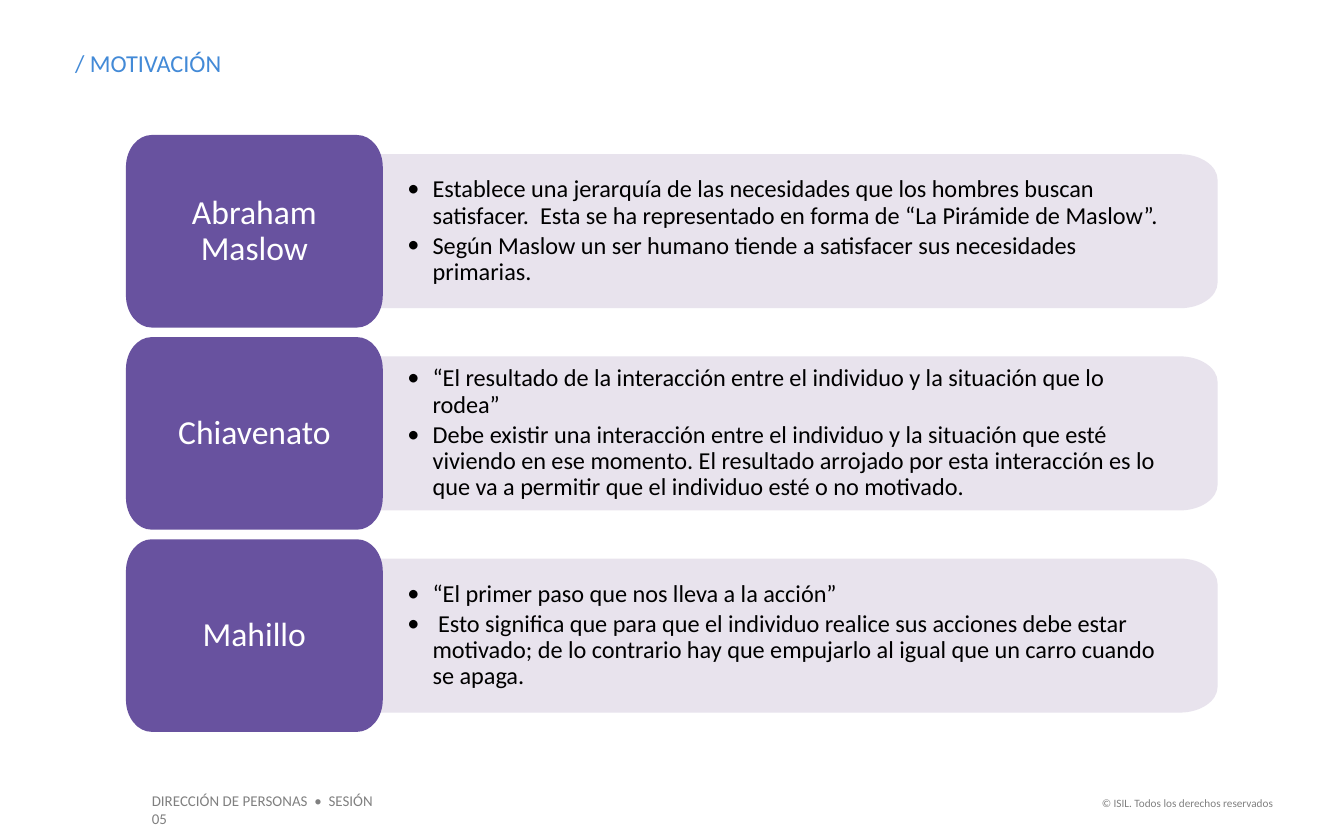
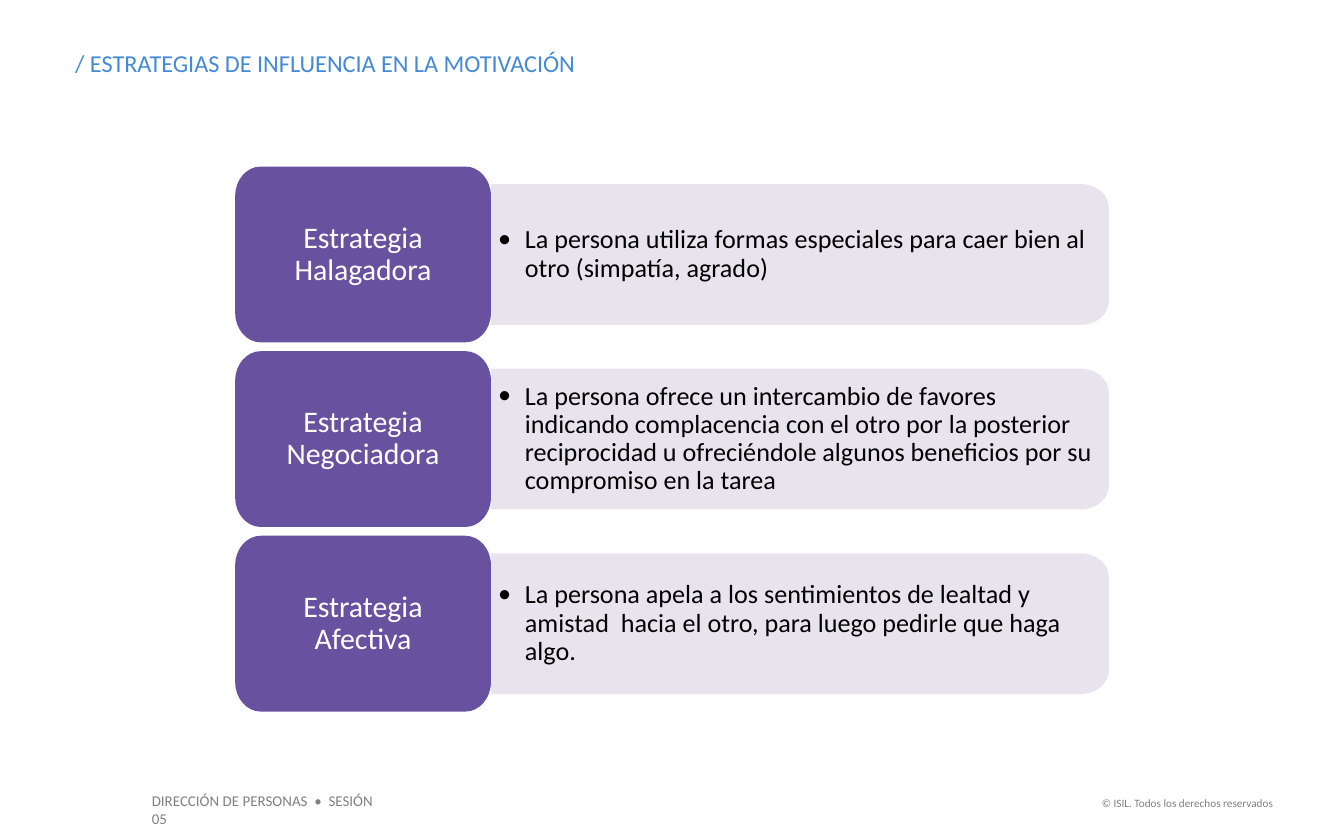
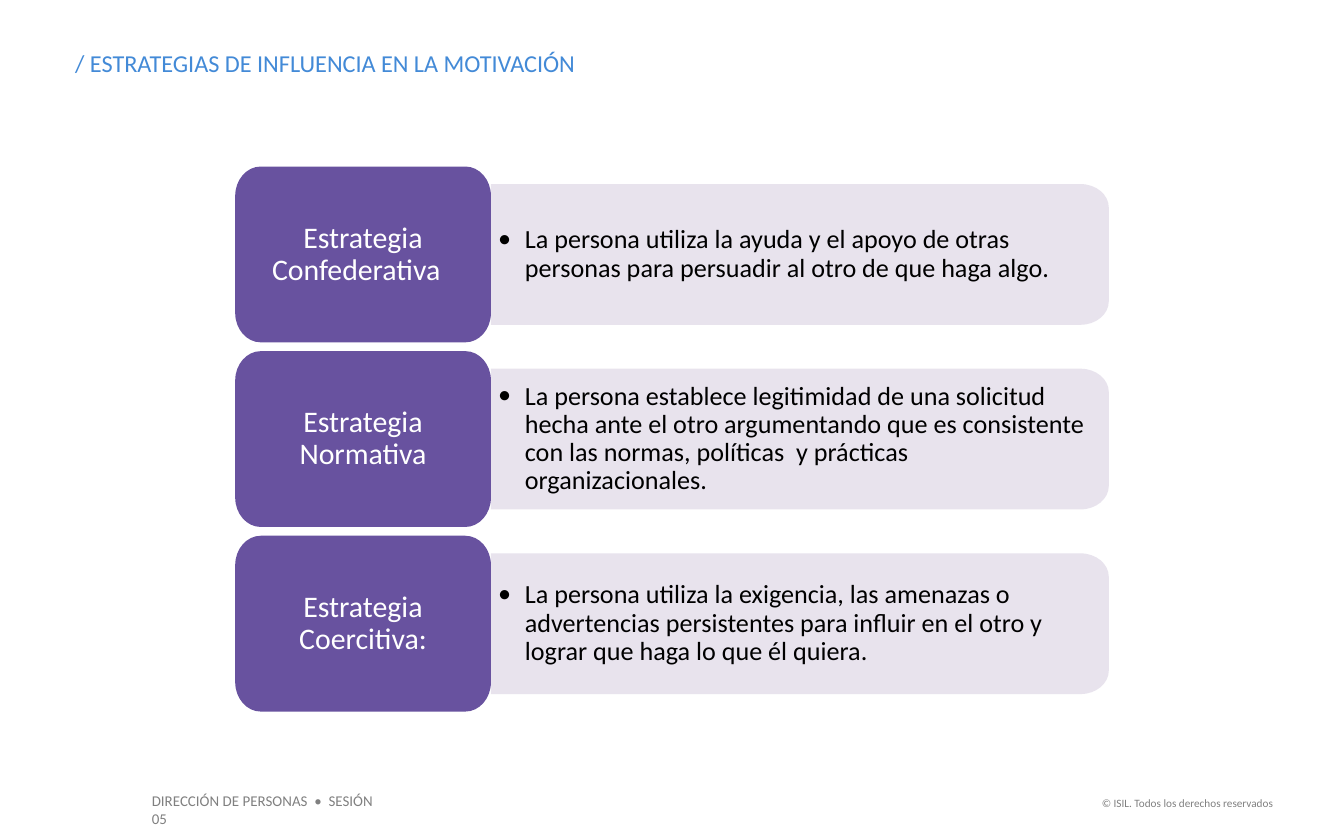
from dataclasses import dataclass

import lxml.etree
import pptx
import pptx.dml.color
import pptx.enum.text
import pptx.oxml.ns
import pptx.util

Pt = pptx.util.Pt
ALIGN = pptx.enum.text.PP_ALIGN
ANCHOR = pptx.enum.text.MSO_ANCHOR
qn = pptx.oxml.ns.qn


@dataclass(frozen=True)
class Theme:
    font: str = "Calibri"
    heading: str = "438AD7"
    footer: str = "808080"
    name_fill: str = "68529F"
    name_text: str = "FFFFFF"
    detail_fill: str = "E6E0EC"
    detail_text: str = "000000"
    detail_opacity: int = 90
    heading_size: float = 13
    session_size: float = 8
    rights_size: float = 6
    author_size: float = 18
    author_detail_size: float = 13
    strategy_size: float = 16
    strategy_detail_size: float = 14


@dataclass(frozen=True)
class Box:
    left: float
    top: float
    width: float
    height: float


@dataclass(frozen=True)
class Style:
    size: float
    color: str
    insets: tuple[float, float, float, float]
    align: ALIGN = ALIGN.LEFT
    anchor: ANCHOR = ANCHOR.TOP
    line_spacing: float = 1.0
    space_after: float = 0
    bullet_indent: float = 0


@dataclass(frozen=True)
class Caption:
    box: Box
    style: Style


@dataclass(frozen=True)
class Layout:
    name_left: float
    name_top: float
    name_width: float
    name_height: float
    detail_left: float
    detail_right: float
    detail_corner: float
    name_style: Style
    detail_style: Style


@dataclass(frozen=True)
class Concept:
    name: str
    details: tuple[str, ...]


@dataclass(frozen=True)
class Topic:
    heading: str
    layout: Layout
    concepts: tuple[Concept, ...]


THEME = Theme()
CURVE = 0.55
CAPTION_INSETS = (7.2, 3.6, 7.2, 3.6)
HEADING = Caption(Box(40.3, 26, 332, 16), Style(THEME.heading_size, THEME.heading, (0, 0, 0, 0)))
SESSION = Caption(Box(74.2, 420.5, 142, 17), Style(THEME.session_size, THEME.footer, CAPTION_INSETS))
RIGHTS = Caption(
    Box(579.4, 423, 109.6, 14.4),
    Style(THEME.rights_size, THEME.footer, CAPTION_INSETS, ALIGN.RIGHT),
)


def name_style(size: float, insets: tuple[float, float, float, float]) -> Style:
    return Style(size, THEME.name_text, insets, ALIGN.CENTER, ANCHOR.MIDDLE, 0.9)


def detail_style(size: float, insets: tuple[float, float, float, float], indent: float) -> Style:
    return Style(size, THEME.detail_text, insets, ALIGN.LEFT, ANCHOR.MIDDLE, 0.9, 2, indent)


AUTHORS = Layout(
    67.5, 72.3, 137.6, 103.15, 198.7, 652.3, 20.2,
    name_style(THEME.author_size, (10, 8, 10, 8)),
    detail_style(THEME.author_detail_size, (19.6, 13.7, 23.8, 13.7), 13.5),
)
STRATEGIES = Layout(
    126, 89.2, 137, 94.2, 263, 594, 15.1,
    name_style(THEME.strategy_size, (9.4, 7.2, 9.4, 7.2)),
    detail_style(THEME.strategy_detail_size, (3.8, 5.8, 7.5, 5.8), 14.4),
)

SESSION_TEXT = "DIRECCIÓN DE PERSONAS  •  SESIÓN 05"
RIGHTS_TEXT = "© ISIL. Todos los derechos reservados"
STRATEGIES_HEADING = "/ ESTRATEGIAS DE INFLUENCIA EN LA MOTIVACIÓN"

TOPICS = (
    Topic("/ MOTIVACIÓN", AUTHORS, (
        Concept("Abraham\nMaslow", (
            "Establece una jerarquía de las necesidades que los hombres buscan satisfacer.  "
            "Esta se ha representado en forma de “La Pirámide de Maslow”.",
            "Según Maslow un ser humano tiende a satisfacer sus necesidades primarias.",
        )),
        Concept("Chiavenato", (
            "“El resultado de la interacción entre el individuo y la situación que lo rodea”",
            "Debe existir una interacción entre el individuo y la situación que esté viviendo "
            "en ese momento. El resultado arrojado por esta interacción es lo que va a permitir "
            "que el individuo esté o no motivado.",
        )),
        Concept("Mahillo", (
            "“El primer paso que nos lleva a la acción”",
            " Esto significa que para que el individuo realice sus acciones debe estar motivado; "
            "de lo contrario hay que empujarlo al igual que un carro cuando se apaga.",
        )),
    )),
    Topic(STRATEGIES_HEADING, STRATEGIES, (
        Concept("Estrategia Halagadora", (
            "La persona utiliza formas especiales para caer bien al otro (simpatía, agrado)",
        )),
        Concept("Estrategia Negociadora", (
            "La persona ofrece un intercambio de favores indicando complacencia con el otro "
            "por la posterior reciprocidad u ofreciéndole algunos beneficios por su compromiso "
            "en la tarea",
        )),
        Concept("Estrategia Afectiva", (
            "La persona apela a los sentimientos de lealtad y amistad  hacia el otro, "
            "para luego pedirle que haga algo.",
        )),
    )),
    Topic(STRATEGIES_HEADING, STRATEGIES, (
        Concept("Estrategia Confederativa  ", (
            "La persona utiliza la ayuda y el apoyo de otras personas para persuadir al otro "
            "de que haga algo.",
        )),
        Concept("Estrategia Normativa", (
            "La persona establece legitimidad de una solicitud hecha ante el otro argumentando "
            "que es consistente con las normas, políticas  y prácticas organizacionales.",
        )),
        Concept("Estrategia Coercitiva:", (
            "La persona utiliza la exigencia, las amenazas o advertencias persistentes para "
            "influir en el otro y lograr que haga lo que él quiera.",
        )),
    )),
)


def apply(target, formats: dict) -> None:
    for attribute, value in formats.items():
        setattr(target, attribute, value)


def add_bullet(paragraph, indent: float) -> None:
    paragraph.level = 1
    properties = paragraph._p.get_or_add_pPr()
    properties.set("marL", str(Pt(indent)))
    properties.set("indent", str(-Pt(indent)))
    lxml.etree.SubElement(properties, qn("a:buFont"), typeface=THEME.font)
    lxml.etree.SubElement(properties, qn("a:buChar"), char="•")


def write(frame, texts: tuple[str, ...], style: Style) -> None:
    left, top, right, bottom = style.insets
    apply(frame, {
        "word_wrap": True,
        "vertical_anchor": style.anchor,
        "margin_left": Pt(left),
        "margin_top": Pt(top),
        "margin_right": Pt(right),
        "margin_bottom": Pt(bottom),
    })
    for index, text in enumerate(texts):
        paragraph = frame.add_paragraph() if index else frame.paragraphs[0]
        paragraph.text = text
        apply(paragraph, {
            "alignment": style.align,
            "line_spacing": style.line_spacing,
            "space_after": Pt(style.space_after),
        })
        if style.bullet_indent:
            add_bullet(paragraph, style.bullet_indent)
        for run in paragraph.runs:
            apply(run.font, {"name": THEME.font, "size": Pt(style.size)})
            run.font.color.rgb = pptx.dml.color.RGBColor.from_string(style.color)


def draw_caption(slide, caption: Caption, text: str) -> None:
    box = caption.box
    area = slide.shapes.add_textbox(Pt(box.left), Pt(box.top), Pt(box.width), Pt(box.height))
    write(area.text_frame, (text,), caption.style)


def round_corner(segment, start: tuple[int, int], end: tuple[int, int],
                 vertex: tuple[int, int], origin: tuple[int, int]) -> None:
    segment.tag = qn("a:cubicBezTo")
    segment.remove(segment[0])
    handles = [
        tuple(round(p + CURVE * (v - p)) for p, v in zip(point, vertex))
        for point in (start, end)
    ]
    for x, y in (*handles, end):
        lxml.etree.SubElement(
            segment, qn("a:pt"), x=str(x - origin[0]), y=str(y - origin[1])
        )


def draw_panel(slide, box: Box, rx: float, round_left: bool, fill: str, opacity: int = 100):
    ry = box.height / 6
    left, top = box.left, box.top
    right, bottom = left + box.width, top + box.height
    corners = [
        ((right - rx, top), (right, top + ry), (right, top)),
        ((right, bottom - ry), (right - rx, bottom), (right, bottom)),
    ]
    square_end = [(left, bottom), (left, top)]
    if round_left:
        corners += [
            ((left + rx, bottom), (left, bottom - ry), (left, bottom)),
            ((left, top + ry), (left + rx, top), (left, top)),
        ]
        square_end = []
    corners = [tuple((Pt(x), Pt(y)) for x, y in corner) for corner in corners]
    outline = [point for start, end, _ in corners for point in (start, end)]
    outline += [(Pt(x), Pt(y)) for x, y in square_end]
    builder = slide.shapes.build_freeform(*outline[0])
    builder.add_line_segments(outline[1:], close=True)
    panel = builder.convert_to_shape()
    segments = list(panel._element.iter(qn("a:lnTo")))
    for segment, (start, end, vertex) in zip(segments[::2], corners):
        round_corner(segment, start, end, vertex, (panel.left, panel.top))
    panel.shadow.inherit = False
    panel.line.fill.background()
    panel.fill.solid()
    panel.fill.fore_color.rgb = pptx.dml.color.RGBColor.from_string(fill)
    if opacity < 100:
        color = panel._element.spPr.find(qn("a:solidFill")).find(qn("a:srgbClr"))
        lxml.etree.SubElement(color, qn("a:alpha"), val=str(opacity * 1000))
    return panel


def draw_concept(slide, concept: Concept, layout: Layout, row: int) -> None:
    height = layout.name_height
    top = layout.name_top + row * height * 1.05
    detail_box = Box(
        layout.detail_left, top + height * 0.1,
        layout.detail_right - layout.detail_left, height * 0.8,
    )
    detail = draw_panel(
        slide, detail_box, layout.detail_corner, False, THEME.detail_fill, THEME.detail_opacity
    )
    write(detail.text_frame, concept.details, layout.detail_style)
    name_box = Box(layout.name_left, top, layout.name_width, height)
    name = draw_panel(slide, name_box, layout.name_width / 10, True, THEME.name_fill)
    write(name.text_frame, (concept.name,), layout.name_style)


def draw_topic(deck, topic: Topic) -> None:
    slide = deck.slides.add_slide(deck.slide_layouts[6])
    draw_caption(slide, SESSION, SESSION_TEXT)
    draw_caption(slide, RIGHTS, RIGHTS_TEXT)
    draw_caption(slide, HEADING, topic.heading)
    for row, concept in enumerate(topic.concepts):
        draw_concept(slide, concept, topic.layout, row)


def main() -> None:
    deck = pptx.Presentation()
    apply(deck, {"slide_width": Pt(720), "slide_height": Pt(450)})
    for topic in TOPICS:
        draw_topic(deck, topic)
    deck.save("out.pptx")


if __name__ == "__main__":
    main()
